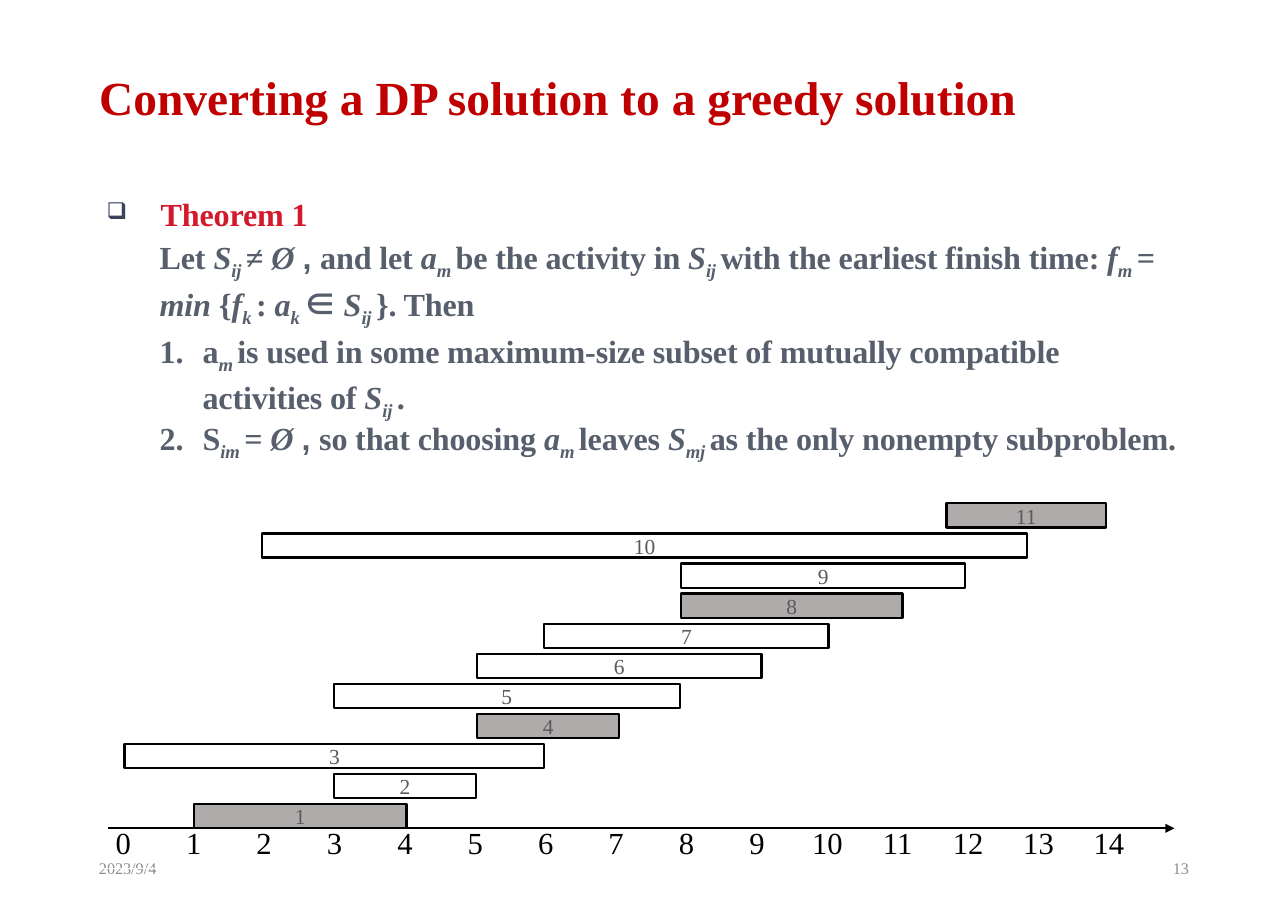
from lxml.etree import SubElement
from pptx import Presentation
from pptx.dml.color import RGBColor
from pptx.enum.shapes import MSO_CONNECTOR, MSO_SHAPE
from pptx.enum.text import MSO_ANCHOR, PP_ALIGN
from pptx.oxml.ns import qn
from pptx.util import Pt

COLORS = {
    "title": "C00000", "theorem": "D3192B", "body": "575F6D", "bullet": "3B435B",
    "footer": "8C8C8C", "chosen": "AFABAB", "bar text": "595959", "black": "000000",
}
SERIF = "Times New Roman"
MATH = "Noto Sans CJK JP"


def add_span(para, text, size, color, font=SERIF, bold=False, italic=False, sub=False):
    span = para.add_run()
    span.text = text
    span.font.size = Pt(size)
    span.font.bold = bold
    span.font.italic = italic
    span.font.color.rgb = RGBColor.from_string(COLORS[color])
    span.font.name = font
    properties = span.font._element
    SubElement(properties, qn("a:ea"), typeface=font)
    if sub:
        properties.set("baseline", "-25000")
    return span


def add_text_box(left, top, width, height):
    box = page.shapes.add_textbox(Pt(left), Pt(top), Pt(width), Pt(height))
    box.text_frame.word_wrap = True
    return box.text_frame


deck = Presentation()
deck.slide_width, deck.slide_height = Pt(841.68), Pt(595.44)
page = deck.slides.add_slide(deck.slide_layouts[5])

# Title
title = page.shapes.title
title.left, title.top, title.width, title.height = Pt(57.6), Pt(18.7), Pt(721.4), Pt(93.6)
title.text_frame.vertical_anchor = MSO_ANCHOR.MIDDLE
para = title.text_frame.paragraphs[0]
para.alignment = PP_ALIGN.LEFT
para.line_spacing = 0.9
add_span(para, "Converting a DP solution to a greedy solution", 31, "title", bold=True)

# Date and page number
for text, left, alignment in [("2023/9/4", 57.6, PP_ALIGN.LEFT), ("13", 594.7, PP_ALIGN.RIGHT)]:
    frame = add_text_box(left, 551.5, 189.4, 31.7)
    frame.vertical_anchor = MSO_ANCHOR.MIDDLE
    frame.paragraphs[0].alignment = alignment
    add_span(frame.paragraphs[0], text, 10.6, "footer")

# Theorem: each span is its text and its style
STYLES = {
    "plain": {},
    "theorem": {"color": "theorem"},
    "var": {"italic": True},
    "sub": {"italic": True, "sub": True},
    "arial": {"font": "Arial"},
    "math": {"font": MATH},
}
S_IJ = [("S", "var"), ("ij ", "sub")]
A_M = [("a", "var"), ("m ", "sub")]
EMPTY_SET = [("Ø ", "var"), (", ", "arial")]
theorem = [
    # left margin, indent, line spacing, space before, bullet, spans
    (40.3, -35.3, 1.0, 0, "❑", [("Theorem 1", "theorem")]),
    (39.6, 0, 1.09, 0.1, None, [
        ("Let ", "plain"), *S_IJ, ("≠ ", "plain"), *EMPTY_SET, ("and let ", "plain"), *A_M,
        ("be the activity in ", "plain"), *S_IJ,
        ("with the earliest finish time: ", "plain"), ("f", "var"), ("m ", "sub"),
        ("= ", "plain"), ("min", "var"), (" {", "plain"), ("f", "var"), ("k ", "sub"),
        (": ", "plain"), ("a", "var"), ("k ", "sub"), ("∈ ", "math"), *S_IJ,
        ("}. Then", "plain")]),
    (67.7, -28.1, 1.06, 0.1, "number", [
        ("a", "plain"), ("m ", "sub"),
        ("is used in some maximum-size subset of mutually compatible activities of ", "plain"),
        *S_IJ, (".", "plain")]),
    (67.7, -28.1, Pt(23.2), 3.2, "number", [
        ("S", "plain"), ("im ", "sub"), ("= ", "plain"), *EMPTY_SET,
        ("so that choosing ", "plain"), *A_M, ("leaves ", "plain"), ("S", "var"),
        ("mj ", "sub"), ("as the only nonempty subproblem.", "plain")]),
]
frame = add_text_box(57.6, 121, 721.4, 379.4)
frame.margin_top = Pt(6)
for index, (margin, indent, line_spacing, before, bullet, spans) in enumerate(theorem):
    para = frame.paragraphs[0] if index == 0 else frame.add_paragraph()
    para.line_spacing = line_spacing
    para.space_before = Pt(before)
    properties = para._p.get_or_add_pPr()
    properties.set("marL", str(Pt(margin)))
    properties.set("indent", str(Pt(indent)))
    if bullet == "number":
        SubElement(properties, qn("a:buFont"), typeface=SERIF)
        SubElement(properties, qn("a:buAutoNum"), type="arabicPeriod")
    elif bullet:
        bullet_color = SubElement(properties, qn("a:buClr"))
        SubElement(bullet_color, qn("a:srgbClr"), val=COLORS["bullet"])
        SubElement(properties, qn("a:buSzPct"), val="72000")
        SubElement(properties, qn("a:buChar"), char=bullet)
    for text, style in spans:
        span = add_span(para, text, 21, **{"color": "body", "bold": True, **STYLES[style]})
        span.font._element.set("spc", "-10")

# Time labels under the axis
HOURS = 15
table = page.shapes.add_table(1, HOURS, Pt(57.6), Pt(536.4), Pt(690.5), Pt(28.1)).table
table.first_row = False
table.horz_banding = False
for hour in range(HOURS):
    table.columns[hour].width = Pt(46.03)
    cell = table.cell(0, hour)
    cell.fill.background()
    cell.vertical_anchor = MSO_ANCHOR.MIDDLE
    cell.margin_left = cell.margin_right = 0
    para = cell.text_frame.paragraphs[0]
    para.alignment = PP_ALIGN.CENTER
    add_span(para, str(hour), 20, "black")

# Time axis
axis = page.shapes.add_connector(
    MSO_CONNECTOR.STRAIGHT, Pt(70.6), Pt(541.4), Pt(767.5), Pt(541.4))
axis.line.color.rgb = RGBColor.from_string(COLORS["black"])
axis.line.width = Pt(1.5)
SubElement(axis.line._get_or_add_ln(), qn("a:tailEnd"), type="triangle")
SubElement(axis._element.spPr, qn("a:effectLst"))

# Activities 1 to 11, from the bottom up: left and width
activities = [
    (126.7, 139), (218.2, 92.9), (81.4, 274.3), (311.8, 92.9), (218.2, 226.1), (311.8, 185.8),
    (355.7, 185.8), (445, 144.7), (445, 185.8), (171.4, 499.7), (618.5, 104.4),
]
CHOSEN = {1, 4, 8, 11}
for number, (left, width) in enumerate(activities, start=1):
    top = 525.6 - 19.66 * (number - 1)
    bar = page.shapes.add_shape(MSO_SHAPE.RECTANGLE, Pt(left), Pt(top), Pt(width), Pt(15.84))
    bar.shadow.inherit = False
    bar.line.color.rgb = RGBColor.from_string(COLORS["black"])
    bar.line.width = Pt(1.5)
    if number in CHOSEN:
        bar.fill.solid()
        bar.fill.fore_color.rgb = RGBColor.from_string(COLORS["chosen"])
    else:
        bar.fill.background()
    frame = bar.text_frame
    frame.margin_top = frame.margin_bottom = 0
    frame.vertical_anchor = MSO_ANCHOR.MIDDLE
    frame.paragraphs[0].alignment = PP_ALIGN.CENTER
    add_span(frame.paragraphs[0], str(number), 14, "bar text")

deck.save("out.pptx")
